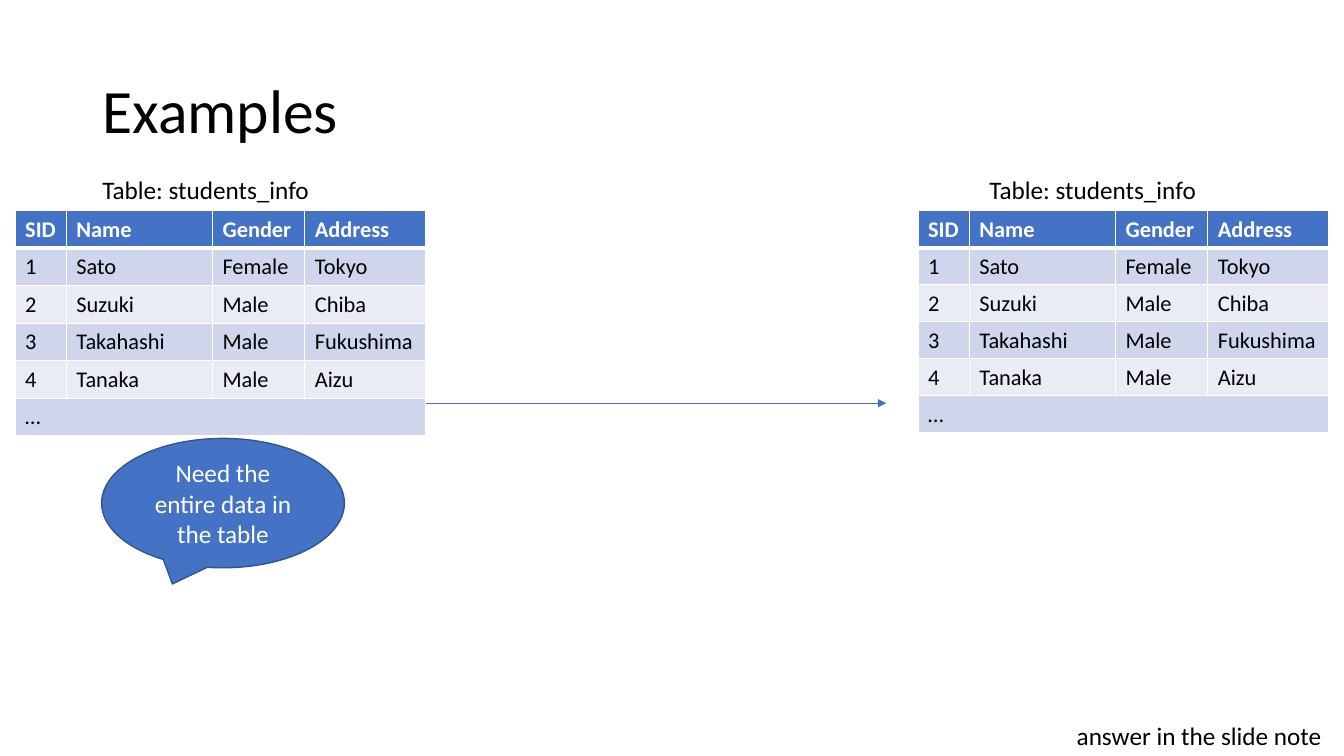
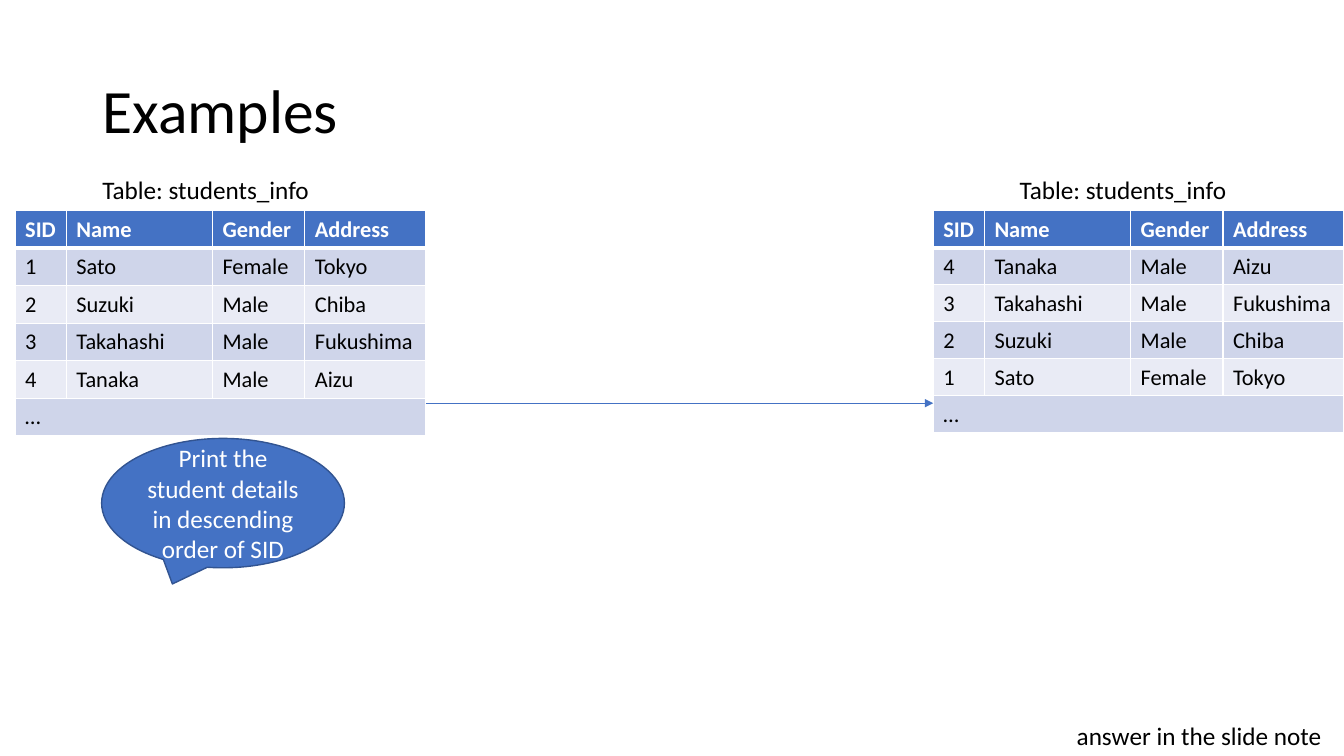
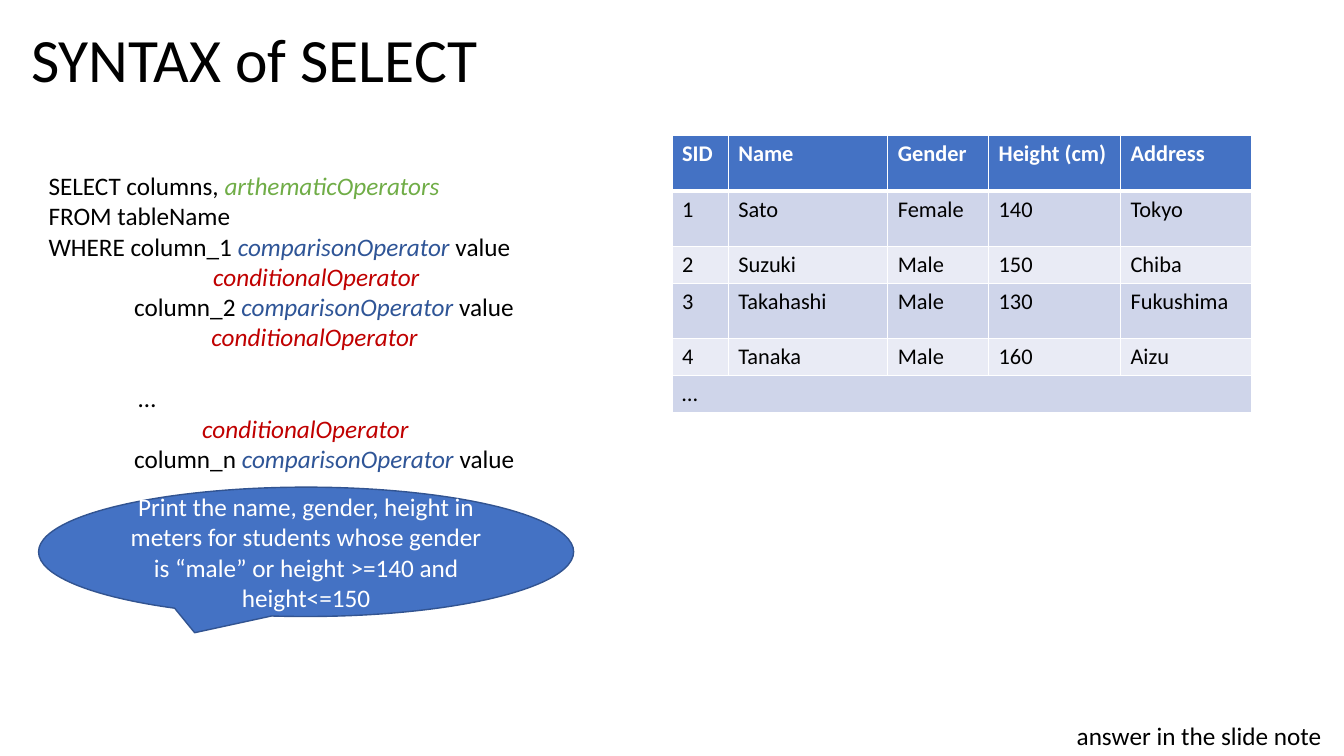
from dataclasses import dataclass
from typing import NamedTuple

from pptx import Presentation
from pptx import util as u
from pptx.dml.color import RGBColor
from pptx.enum import shapes, text
from pptx.oxml import ns, xmlchemy


@dataclass(frozen=True)
class Theme:
    font: str = "Calibri"
    ink: str = "000000"
    paper: str = "FFFFFF"
    accent: str = "4472C4"
    outline: str = "325491"
    odd_band: str = "CFD5EA"
    even_band: str = "E9EBF5"
    arithmetic: str = "70AD47"
    comparison: str = "2F5597"
    condition: str = "C00000"
    title_size: int = 44
    body_size: int = 18
    table_size: int = 16


class Box(NamedTuple):
    left: float
    top: float
    width: float
    height: float


class Phrase(NamedTuple):
    words: str
    color: str = "000000"
    italic: bool = False


class Line(NamedTuple):
    phrases: tuple[Phrase, ...]
    indent: float = 0
    before: float = 0


@dataclass(frozen=True)
class Student:
    sid: str
    name: str
    gender: str
    height: str
    address: str


@dataclass(frozen=True)
class Example:
    request: str
    result: list[Student]
    result_left: float
    label_left: float
    arrow_end: float


THEME = Theme()
COLUMNS, ROWS = 160, 90
WIDTH, HEIGHT = u.Inches(13.33), u.Inches(7.5)
TITLE = Box(11, 4.8, 138, 17.4)
FOOTER = Box(127, 85.2, 33.1, 4.8)
SOURCE_LEFT, TABLE_TOP = 1.8, 25.1
INFO_COLUMNS = [6.1, 17.4, 11, 14.4]
HEIGHT_COLUMNS = [6.7, 19, 12, 15.7, 15.6]

STUDENTS = [
    Student("1", "Sato", "Female", "140", "Tokyo"),
    Student("2", "Suzuki", "Male", "150", "Chiba"),
    Student("3", "Takahashi", "Male", "130", "Fukushima"),
    Student("4", "Tanaka", "Male", "160", "Aizu"),
]

EXAMPLES = [
    Example("Need the entire data in the table", STUDENTS, 109.3, 116.6, 105.5),
    Example("Print the student details in descending order of SID",
            STUDENTS[::-1], 111.1, 120.2, 111.1),
]

COMPARISON = Phrase("comparisonOperator", THEME.comparison, True)
CONDITION = Phrase("conditionalOperator", THEME.condition, True)
VALUE = Phrase(" value")
SYNTAX = [
    Line((Phrase("SELECT columns, "), Phrase("arthematicOperators", THEME.arithmetic, True))),
    Line((Phrase("FROM tableName"),)),
    Line((Phrase("WHERE column_1 "), COMPARISON, VALUE)),
    Line((CONDITION,), indent=19.6),
    Line((Phrase("column_2 "), COMPARISON, VALUE), indent=10.2),
    Line((CONDITION,), indent=19.4),
    Line((Phrase("…"),), indent=10.7, before=22),
    Line((CONDITION,), indent=18.3),
    Line((Phrase("column_n "), COMPARISON, VALUE), indent=10.2),
]


def across(columns: float) -> int:
    return round(WIDTH * columns / COLUMNS)


def down(rows: float) -> int:
    return round(HEIGHT * rows / ROWS)


def place(box: Box) -> tuple[int, int, int, int]:
    return across(box.left), down(box.top), across(box.width), down(box.height)


def write(frame, content: str | list[Line], *, size: int = THEME.body_size,
          color: str = THEME.ink, bold: bool = False, align=text.PP_ALIGN.LEFT,
          anchor=None, spacing: float | None = None) -> None:
    lines = [Line((Phrase(content, color),))] if isinstance(content, str) else content
    frame.word_wrap = True
    if anchor is not None:
        frame.vertical_anchor = anchor
    for index, line in enumerate(lines):
        paragraph = frame.add_paragraph() if index else frame.paragraphs[0]
        paragraph.alignment = align
        if spacing:
            paragraph.line_spacing = spacing
        if line.before:
            paragraph.space_before = u.Pt(line.before)
        if line.indent:
            paragraph._p.get_or_add_pPr().set("marL", str(across(line.indent)))
        for phrase in line.phrases:
            run = paragraph.add_run()
            run.text = phrase.words
            run.font.name = THEME.font
            run.font.size = u.Pt(size)
            run.font.bold = bold
            run.font.italic = phrase.italic
            run.font.color.rgb = RGBColor.from_string(phrase.color)


def add_text(slide, box: Box, content: str | list[Line]) -> None:
    write(slide.shapes.add_textbox(*place(box)).text_frame, content)


def add_titled_slide(deck, heading: str, box: Box = TITLE):
    slide = deck.slides.add_slide(deck.slide_layouts[5])
    title = slide.shapes.title
    title.left, title.top, title.width, title.height = place(box)
    title.text_frame.auto_size = text.MSO_AUTO_SIZE.NONE
    write(title.text_frame, heading, size=THEME.title_size,
          anchor=text.MSO_ANCHOR.MIDDLE, spacing=0.9)
    add_text(slide, FOOTER, "answer in the slide note")
    return slide


def rule_cell(cell, top: float, bottom: float) -> None:
    properties = cell._tc.get_or_add_tcPr()
    for index, (side, points) in enumerate(
            (("lnL", 1), ("lnR", 1), ("lnT", top), ("lnB", bottom))):
        border = xmlchemy.OxmlElement(f"a:{side}")
        border.set("w", str(u.Pt(points)))
        fill = xmlchemy.OxmlElement("a:solidFill")
        color = xmlchemy.OxmlElement("a:srgbClr")
        color.set("val", THEME.paper)
        fill.append(color)
        border.append(fill)
        properties.insert(index, border)


def add_students(slide, left: float, top: float, fields: dict[str, str],
                 students: list[Student], widths: list[float],
                 heights: list[float]) -> None:
    records = [list(fields)]
    records += [[getattr(student, field) for field in fields.values()] for student in students]
    records.append(["…"] + [""] * (len(fields) - 1))
    box = Box(left, top, sum(widths), sum(heights))
    table = slide.shapes.add_table(len(records), len(fields), *place(box)).table
    for column, width in zip(table.columns, widths):
        column.width = across(width)
    for row, height in zip(table.rows, heights):
        row.height = down(height)
    for r, record in enumerate(records):
        header = r == 0
        band = THEME.accent if header else (THEME.even_band, THEME.odd_band)[r % 2]
        for c, entry in enumerate(record):
            cell = table.cell(r, c)
            cell.fill.solid()
            cell.fill.fore_color.rgb = RGBColor.from_string(band)
            rule_cell(cell, top=3 if r == 1 else 1, bottom=3 if header else 1)
            if entry:
                write(cell.text_frame, entry, size=THEME.table_size, bold=header,
                      color=THEME.paper if header else THEME.ink)
    last = len(records) - 1
    table.cell(last, 0).merge(table.cell(last, len(fields) - 1))


def add_callout(slide, box: Box, request: str) -> None:
    callout = slide.shapes.add_shape(shapes.MSO_SHAPE.OVAL_CALLOUT, *place(box))
    callout.shadow.inherit = False
    callout.fill.solid()
    callout.fill.fore_color.rgb = RGBColor.from_string(THEME.accent)
    callout.line.color.rgb = RGBColor.from_string(THEME.outline)
    callout.line.width = u.Pt(1)
    write(callout.text_frame, request, color=THEME.paper,
          align=text.PP_ALIGN.CENTER, anchor=text.MSO_ANCHOR.MIDDLE)


def add_arrow(slide, start: float, end: float, level: float) -> None:
    arrow = slide.shapes.add_connector(
        shapes.MSO_CONNECTOR.STRAIGHT, across(start), down(level), across(end), down(level))
    arrow.line.color.rgb = RGBColor.from_string(THEME.accent)
    arrow.line.width = u.Pt(0.5)
    head = xmlchemy.OxmlElement("a:tailEnd")
    head.set("type", "triangle")
    properties = arrow._element.spPr
    properties.find(ns.qn("a:ln")).append(head)
    properties.append(xmlchemy.OxmlElement("a:effectLst"))


def add_example(deck, example: Example) -> None:
    slide = add_titled_slide(deck, "Examples")
    fields = {"SID": "sid", "Name": "name", "Gender": "gender", "Address": "address"}
    for left, label_left, students, row in (
            (SOURCE_LEFT, TITLE.left, STUDENTS, 4.46),
            (example.result_left, example.label_left, example.result, 4.4)):
        add_text(slide, Box(label_left, 20.2, 27.4, 4.8), "Table: students_info")
        add_students(slide, left, TABLE_TOP, fields, students, INFO_COLUMNS,
                     [row] * (len(students) + 2))
    add_callout(slide, Box(12.1, 52.2, 28.9, 15.4), example.request)
    add_arrow(slide, SOURCE_LEFT + sum(INFO_COLUMNS), example.arrow_end, 48)


def add_syntax(deck) -> None:
    slide = add_titled_slide(deck, "SYNTAX of SELECT", TITLE._replace(left=2.5, top=-1.3))
    add_text(slide, Box(4.6, 19.7, 58.4, 44.9), SYNTAX)
    fields = {"SID": "sid", "Name": "name", "Gender": "gender",
              "Height (cm)": "height", "Address": "address"}
    add_students(slide, 80, 16.1, fields, STUDENTS, HEIGHT_COLUMNS,
                 [6.6, 6.6, 4.4, 6.6, 4.4, 4.4])
    add_callout(slide, Box(4.6, 58, 63.7, 15.4),
                "Print the name, gender, height in meters for students whose gender "
                "is “male” or height >=140 and height<=150")


def main() -> None:
    deck = Presentation()
    deck.slide_width, deck.slide_height = WIDTH, HEIGHT
    for example in EXAMPLES:
        add_example(deck, example)
    add_syntax(deck)
    deck.save("out.pptx")


if __name__ == "__main__":
    main()
